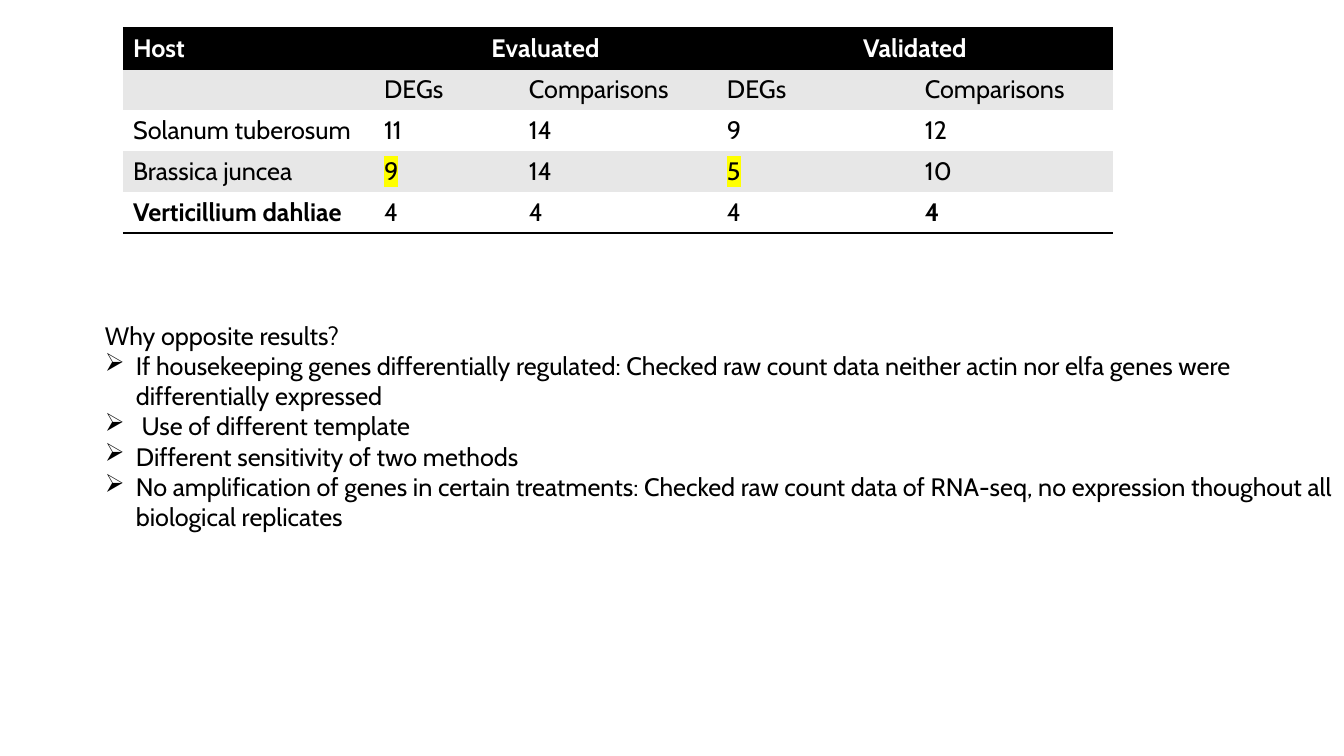
from lxml import etree
from pptx import Presentation
from pptx.dml.color import RGBColor
from pptx.enum.text import MSO_AUTO_SIZE, PP_ALIGN
from pptx.oxml import parse_xml
from pptx.oxml.ns import nsdecls, qn
from pptx.util import Pt

PX = 9071.43  # EMU per px, 100.8 px to the inch
FONT, SIZE = "Cabin", Pt(18)
BLACK = RGBColor(0, 0, 0)
WHITE = RGBColor(255, 255, 255)
BAND = RGBColor(0xE7, 0xE7, 0xE7)
YELLOW = RGBColor(255, 255, 0)
NO_STYLE = "{2D5ABB26-0587-4C30-8999-92F81FD0307C}"

ROWS = [
    ("Host", "Evaluated", "", "Validated", ""),
    ("", "DEGs", "Comparisons", "DEGs", "Comparisons"),
    ("Solanum tuberosum", "11", "14", "9", "12"),
    ("Brassica juncea", "9", "14", "5", "10"),
    ("Verticillium dahliae", "4", "4", "4", "4"),
]
GROUP_COLS = (1, 3)
HIGHLIGHTED = {(3, 1), (3, 3)}
BOLD_TOTALS = {(4, 0), (4, 4)}
COL_WIDTHS = (251, 145, 198, 198, 198)
ROW_HEIGHT = 41
TABLE_AT = (123, 28)

QUESTION = "Why opposite results?"
REASONS = [
    "If housekeeping genes differentially regulated: Checked raw count data "
    "neither actin nor elfa genes were differentially expressed",
    " Use of different template",
    "Different sensitivity of two methods",
    "No amplification of genes in certain treatments: Checked raw count data of "
    "RNA-seq, no expression thoughout all biological replicates",
]
NOTES_BOX = (95, 315, 1250, 254)
BULLET_INDENT = 31


def px(n):
    return round(n * PX)


def set_font(p, color=BLACK, bold=False):
    p.font.name, p.font.size, p.font.bold = FONT, SIZE, bold
    p.font.color.rgb = color


def add_borders(cell, sides):
    """Draw 2 pt black lines on the given sides, in schema order (T before B)."""
    for i, side in enumerate(sides):
        cell._tc.get_or_add_tcPr().insert(i, parse_xml(
            f'<a:ln{side} {nsdecls("a")} w="{Pt(2)}"><a:solidFill>'
            f'<a:srgbClr val="{BLACK}"/></a:solidFill></a:ln{side}>'))


def highlight(r):
    mark = etree.SubElement(r.font._element, qn("a:highlight"))
    etree.SubElement(mark, qn("a:srgbClr"), val=str(YELLOW))


def add_bullet(p):
    pPr = p._p.get_or_add_pPr()
    pPr.set("marL", str(px(BULLET_INDENT)))
    pPr.set("indent", str(-px(BULLET_INDENT)))
    pPr.insert(0, parse_xml(f'<a:buChar {nsdecls("a")} char="➢"/>'))


def add_results_table(slide):
    frame = slide.shapes.add_table(
        len(ROWS), len(COL_WIDTHS), *map(px, TABLE_AT),
        px(sum(COL_WIDTHS)), px(ROW_HEIGHT * len(ROWS)))
    table = frame.table
    table._tbl.tblPr.find(qn("a:tableStyleId")).text = NO_STYLE
    for column, width in zip(table.columns, COL_WIDTHS):
        column.width = px(width)
    for row in table.rows:
        row.height = px(ROW_HEIGHT)
    for c in GROUP_COLS:
        table.cell(0, c).merge(table.cell(0, c + 1))

    for i, values in enumerate(ROWS):
        header, last = i == 0, i == len(ROWS) - 1
        for j, value in enumerate(values):
            cell = table.cell(i, j)
            cell.fill.solid()
            cell.fill.fore_color.rgb = BLACK if header else BAND if i % 2 else WHITE
            if header or last:
                add_borders(cell, "TB" if header else "B")
            p = cell.text_frame.paragraphs[0]
            set_font(p, WHITE if header else BLACK, header or (i, j) in BOLD_TOTALS)
            if header and j in GROUP_COLS:
                p.alignment = PP_ALIGN.CENTER
            if value:
                r = p.add_run()
                r.text = value
                if (i, j) in HIGHLIGHTED:
                    highlight(r)


def add_notes(slide):
    tf = slide.shapes.add_textbox(*map(px, NOTES_BOX)).text_frame
    tf.word_wrap = True
    tf.auto_size = MSO_AUTO_SIZE.SHAPE_TO_FIT_TEXT
    tf.text = QUESTION
    set_font(tf.paragraphs[0])
    for reason in REASONS:
        p = tf.add_paragraph()
        p.text = reason
        set_font(p)
        add_bullet(p)


def main():
    prs = Presentation()
    prs.slide_width, prs.slide_height = px(1344), px(756)
    slide = prs.slides.add_slide(prs.slide_layouts[6])
    add_results_table(slide)
    add_notes(slide)
    prs.save("out.pptx")


if __name__ == "__main__":
    main()
